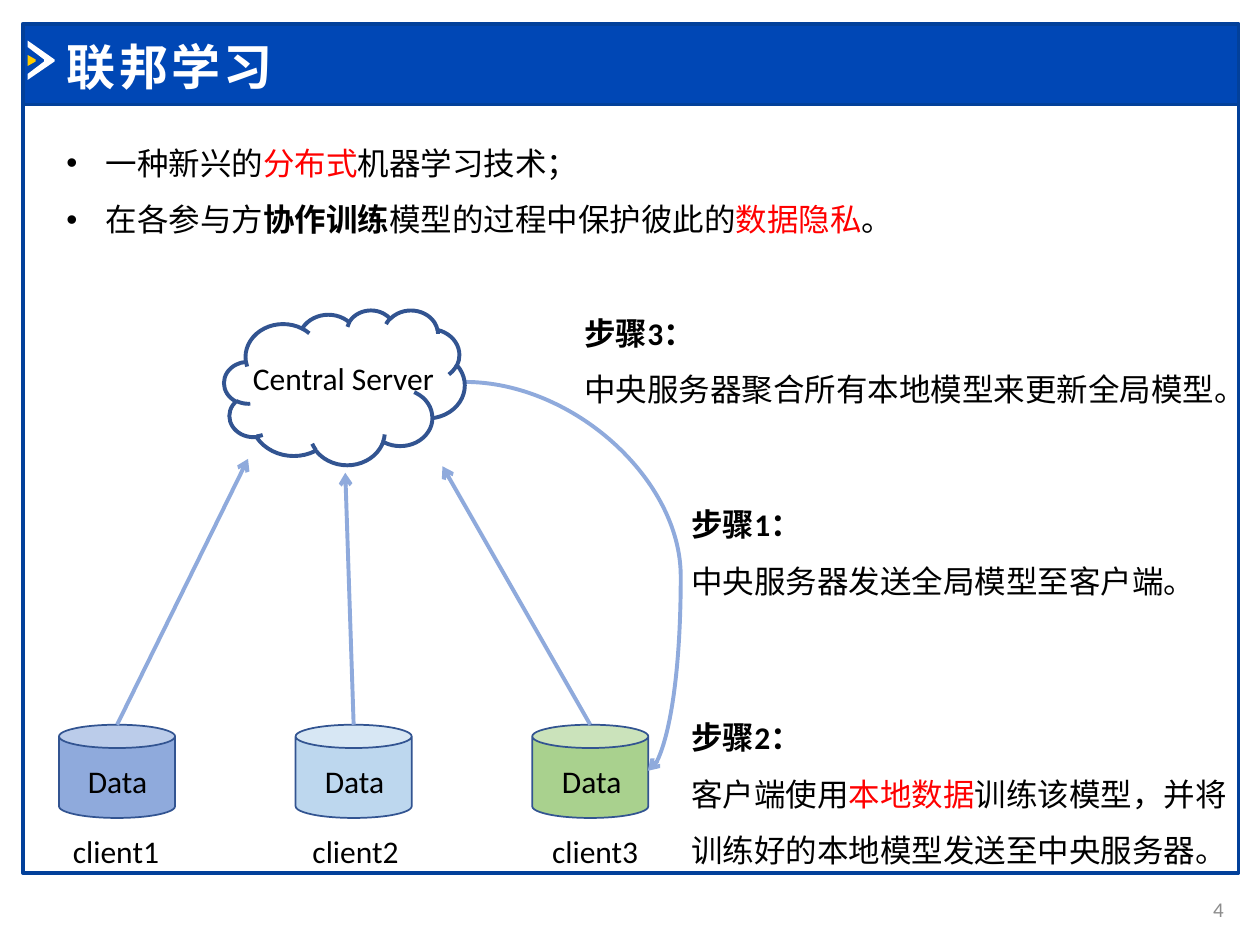
from lxml.etree import SubElement
from pptx import Presentation
from pptx.dml.color import RGBColor
from pptx.enum.shapes import MSO_CONNECTOR as LINK, MSO_SHAPE as SHAPE
from pptx.enum.text import MSO_ANCHOR as ANCHOR, PP_ALIGN as ALIGN
from pptx.oxml.ns import qn
from pptx.util import Cm, Pt

FONT = "Calibri"
BLACK, WHITE, RED = "000000", "FFFFFF", "FF0000"
FRAME, HEADER, OUTLINE, ARROW = "02409A", "0047B5", "325491", "8FAADC"


def rgb(color):
    return RGBColor.from_string(color)


def format_run(r, size=18, color=BLACK, bold=False):
    r.font.name, r.font.size, r.font.bold = FONT, Pt(size), bold
    r.font.color.rgb = rgb(color)


def add_shape(s, kind, box, fill=None, line=None, width=1):
    sp = s.shapes.add_shape(kind, *map(Cm, box))
    sp.shadow.inherit = False
    if fill:
        sp.fill.solid()
        sp.fill.fore_color.rgb = rgb(fill)
    else:
        sp.fill.background()
    sp.line.color.rgb = rgb(line)
    sp.line.width = Pt(width)
    return sp


def add_outline(s, points, fill):
    """Closed polygon through points given in cm."""
    points = [(Cm(x), Cm(y)) for x, y in points]
    builder = s.shapes.build_freeform(*points[0])
    builder.add_line_segments(points[1:])
    sp = builder.convert_to_shape()
    sp.shadow.inherit = False
    sp.fill.solid()
    sp.fill.fore_color.rgb = rgb(fill)
    sp.line.fill.background()


def add_bullet(p):
    pPr = p._p.get_or_add_pPr()
    pPr.set("marL", str(Cm(0.79)))
    pPr.set("indent", str(-Cm(0.79)))
    SubElement(pPr, qn("a:buFont")).set("typeface", "Arial")
    SubElement(pPr, qn("a:buChar")).set("char", "•")


def add_text(s, box, paragraphs, spacing=None, bullets=False):
    """Each paragraph is a list of (text, formatting) runs."""
    tf = s.shapes.add_textbox(*map(Cm, box)).text_frame
    tf.word_wrap = True
    for i, runs in enumerate(paragraphs):
        p = tf.add_paragraph() if i else tf.paragraphs[0]
        if bullets:
            add_bullet(p)
        if spacing:
            p.line_spacing = spacing
        for text, style in runs:
            r = p.add_run()
            r.text = text
            format_run(r, **style)
    return tf


def add_label(s, box, text):
    return add_text(s, box, [[(text, {})]])


def add_step(s, box, number, runs):
    heading = [(f"步骤{number}：", {"bold": True})]
    add_text(s, box, [heading, runs], spacing=1.5)


def add_arrow(s, start, end, kind=LINK.STRAIGHT):
    c = s.shapes.add_connector(kind, *map(Cm, start + end))
    c.line.color.rgb = rgb(ARROW)
    c.line.width = Pt(2.25)
    SubElement(c.line._get_or_add_ln(), qn("a:tailEnd")).set("type", "arrow")
    SubElement(c._element.spPr, qn("a:effectLst"))
    return c


def bend(connector, ratio):
    """Push the middle of a curved connector to a ratio of its width."""
    geom = connector._element.spPr.find(qn("a:prstGeom"))
    guides = geom.find(qn("a:avLst"))
    if guides is None:
        guides = SubElement(geom, qn("a:avLst"))
    gd = SubElement(guides, qn("a:gd"))
    gd.set("name", "adj1")
    gd.set("fmla", f"val {round(ratio * 100000)}")


def add_header(s, title):
    add_shape(s, SHAPE.RECTANGLE, (0.46, 2.11, 24.51, 15.49), None, FRAME, 2)
    add_shape(s, SHAPE.RECTANGLE, (0.46, 0.48, 24.51, 1.63), HEADER, FRAME, 2)
    # Chevron with its small yellow core
    add_outline(s, [(0.56, 0.82), (1.1, 1.2), (1.1, 1.24), (0.56, 1.61),
                    (0.56, 1.49), (0.89, 1.24), (0.89, 1.2), (0.56, 0.95)], WHITE)
    add_outline(s, [(0.56, 1.11), (0.72, 1.2), (0.72, 1.24), (0.56, 1.33)], "FFCC00")
    # Title placeholder, brought in front of the bar
    sp = s.shapes.title
    s.shapes._spTree.append(sp._element)
    sp.left, sp.top, sp.width, sp.height = map(Cm, (1.09, 0.61, 21.03, 1.45))
    tf = sp.text_frame
    tf.text = title
    tf.vertical_anchor = ANCHOR.MIDDLE
    p = tf.paragraphs[0]
    p.alignment = ALIGN.LEFT
    r = p.runs[0]
    format_run(r, 28, WHITE, True)
    r.font._element.set("spc", "200")


def add_clients(s):
    arrow_tips = [(5, 9.25), (6.96, 9.53), (8.92, 9.4)]
    fills = ["8FAADC", "BDD7EE", "A9D18E"]
    for i, (tip, fill) in enumerate(zip(arrow_tips, fills)):
        left = 1.19 + 4.77 * i
        add_shape(s, SHAPE.CAN, (left, 14.61, 2.34, 1.88), fill, OUTLINE)
        add_label(s, (1.52 + 4.78 * i, 15.24, 1.8, 1.02), "Data")
        add_label(s, (1.22 + 4.83 * i, 16.64, 2.41, 1.02), f"client{i + 1}")
        add_arrow(s, (left + 1.17, 14.61), tip)


def add_server(s):
    add_shape(s, SHAPE.CLOUD, (4.52, 6.25, 4.85, 3.12), WHITE, OUTLINE, 2.25)
    add_label(s, (4.85, 7.11, 5.11, 1.02), "Central Server")


def main():
    prs = Presentation()
    prs.slide_width, prs.slide_height = Cm(25.4), Cm(19.05)
    s = prs.slides.add_slide(prs.slide_layouts[5])
    add_header(s, "联邦学习")

    # Slide number
    tf = add_text(s, (23.42, 17.81, 1.5, 1.02),
                  [[("4", {"size": 12, "color": "8C8C8C"})]])
    tf.vertical_anchor = ANCHOR.MIDDLE
    tf.paragraphs[0].alignment = ALIGN.RIGHT

    # Definition
    add_text(s, (1.09, 2.39, 17.81, 2.44), [
        [("一种新兴的", {}), ("分布式", {"color": RED}), ("机器学习技术；", {})],
        [("在各参与方", {}), ("协作训练", {"bold": True}),
         ("模型的过程中保护彼此的", {}), ("数据隐私", {"color": RED}), ("。", {})],
    ], spacing=1.5, bullets=True)

    # Diagram
    add_clients(s)
    bend(add_arrow(s, (9.37, 7.7), (13.06, 15.54), LINK.CURVE), 1.18)
    add_server(s)

    # Training steps
    add_step(s, (13.69, 9.68, 10.39, 2.44), 1,
             [("中央服务器发送全局模型至客户端。", {})])
    add_step(s, (13.69, 13.97, 11.51, 3.61), 2,
             [("客户端使用", {}), ("本地数据", {"color": RED}),
              ("训练该模型，并将训练好的本地模型发送至中央服务器。", {})])
    add_step(s, (11.53, 5.82, 13.46, 3.56), 3,
             [("中央服务器聚合所有本地模型来更新全局模型。", {})])

    prs.save("out.pptx")


if __name__ == "__main__":
    main()
